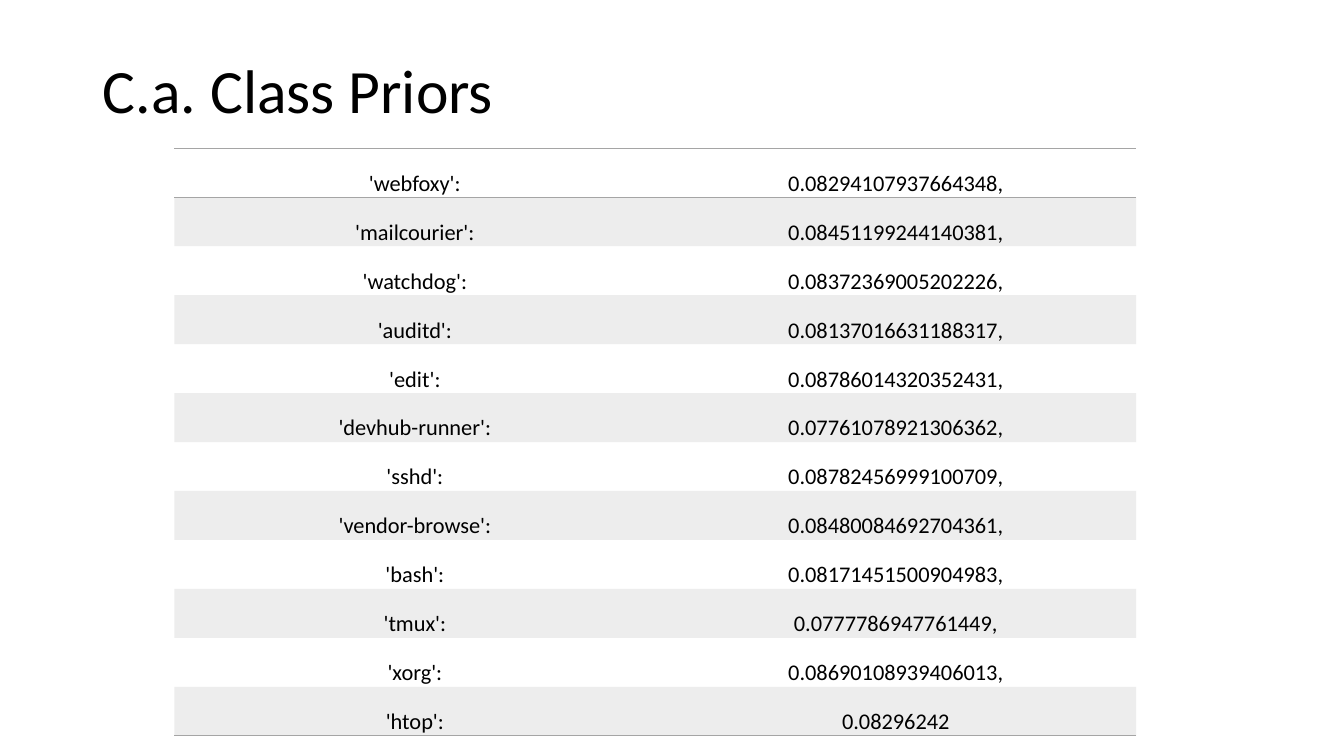
"""Builds a slide that tabulates class priors per process."""
from lxml import etree
from pptx import Presentation, util as u
from pptx.dml.color import RGBColor
from pptx.enum import text
from pptx.oxml import ns

HEADING = "C.a. Class Priors"
PRIORS = [
    ("'webfoxy':", "0.08294107937664348,"),
    ("'mailcourier':", "0.08451199244140381,"),
    ("'watchdog':", "0.08372369005202226,"),
    ("'auditd':", "0.08137016631188317,"),
    ("'edit':", "0.08786014320352431,"),
    ("'devhub-runner':", "0.07761078921306362,"),
    ("'sshd':", "0.08782456999100709,"),
    ("'vendor-browse':", "0.08480084692704361,"),
    ("'bash':", "0.08171451500904983,"),
    ("'tmux':", "0.0777786947761449,"),
    ("'xorg':", "0.08690108939406013,"),
    ("'htop':", "0.08296242"),
]
BLACK = RGBColor(0x00, 0x00, 0x00)
GRAY = RGBColor(0xA5, 0xA5, 0xA5)
BAND_ALPHA = 20
PLAIN_STYLE = "{2D5ABB26-0587-4C30-8999-92F81FD0307C}"
COLUMN, ROW = u.Inches(4.77), u.Inches(5.83 / len(PRIORS))


def write(frame, words, size, align, anchor, spacing=1.0):
    frame.text = words
    frame.word_wrap = True
    paragraph = frame.paragraphs[0]
    paragraph.alignment = align
    paragraph.line_spacing = spacing
    font = paragraph.runs[0].font
    font.name, font.size, font.color.rgb = "Calibri", u.Pt(size), BLACK
    frame.vertical_anchor = anchor


def rule(cell, side):
    line = etree.Element(ns.qn(f"a:ln{side}"), w=str(u.Pt(1)))
    fill = etree.SubElement(line, ns.qn("a:solidFill"))
    etree.SubElement(fill, ns.qn("a:srgbClr"), val=str(GRAY))
    cell._tc.get_or_add_tcPr().insert(0, line)


def shade(cell):
    cell.fill.solid()
    cell.fill.fore_color.rgb = GRAY
    color = next(cell._tc.tcPr.iterchildren(ns.qn("a:solidFill")))[0]
    etree.SubElement(color, ns.qn("a:alpha"), val=str(BAND_ALPHA * 1000))


def fill_cell(cell, words, index):
    write(cell.text_frame, words, 16, text.PP_ALIGN.CENTER, None)
    cell.vertical_anchor = text.MSO_ANCHOR.BOTTOM
    cell.margin_left = cell.margin_right = cell.margin_top = u.Inches(0.01)
    cell.margin_bottom = 0
    if index % 2:
        shade(cell)
    else:
        cell.fill.background()
    if index in (0, len(PRIORS) - 1):
        rule(cell, "B")
    if index == 0:
        rule(cell, "T")


def main():
    deck = Presentation()
    deck.slide_width, deck.slide_height = u.Inches(13.33), u.Inches(7.5)
    slide = deck.slides.add_slide(deck.slide_layouts[5])

    heading = slide.shapes.title
    heading.left, heading.top = u.Inches(0.92), u.Inches(0.2)
    heading.width, heading.height = u.Inches(11.5), u.Inches(1.45)
    write(heading.text_frame, HEADING, 44, text.PP_ALIGN.LEFT, text.MSO_ANCHOR.MIDDLE, 0.9)

    priors = slide.shapes.add_table(
        len(PRIORS), 2, u.Inches(1.73), u.Inches(1.47), 2 * COLUMN, ROW * len(PRIORS)
    ).table
    priors.first_row = priors.horz_banding = False
    next(priors._tbl.iter(ns.qn("a:tableStyleId"))).text = PLAIN_STYLE
    for column in priors.columns:
        column.width = COLUMN
    for index, entry in enumerate(PRIORS):
        priors.rows[index].height = ROW
        for position, words in enumerate(entry):
            fill_cell(priors.cell(index, position), words, index)

    deck.save("out.pptx")


if __name__ == "__main__":
    main()
